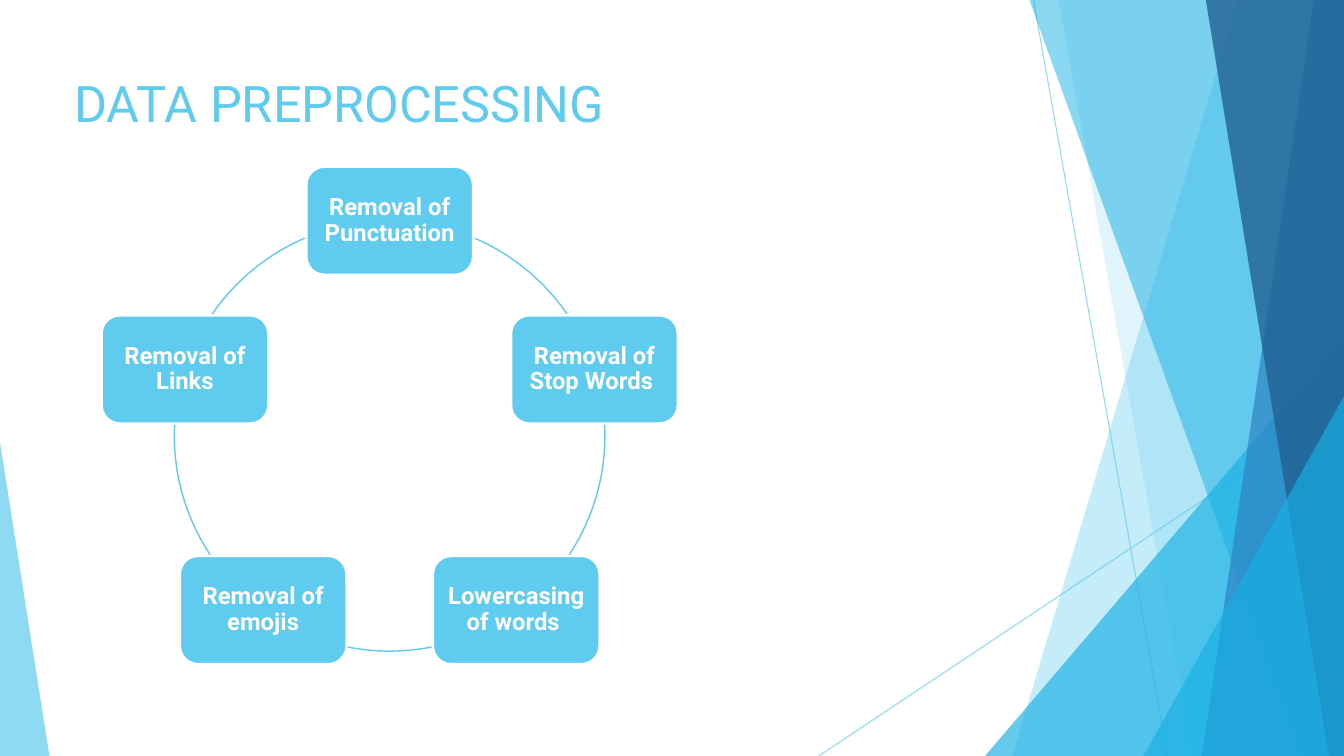
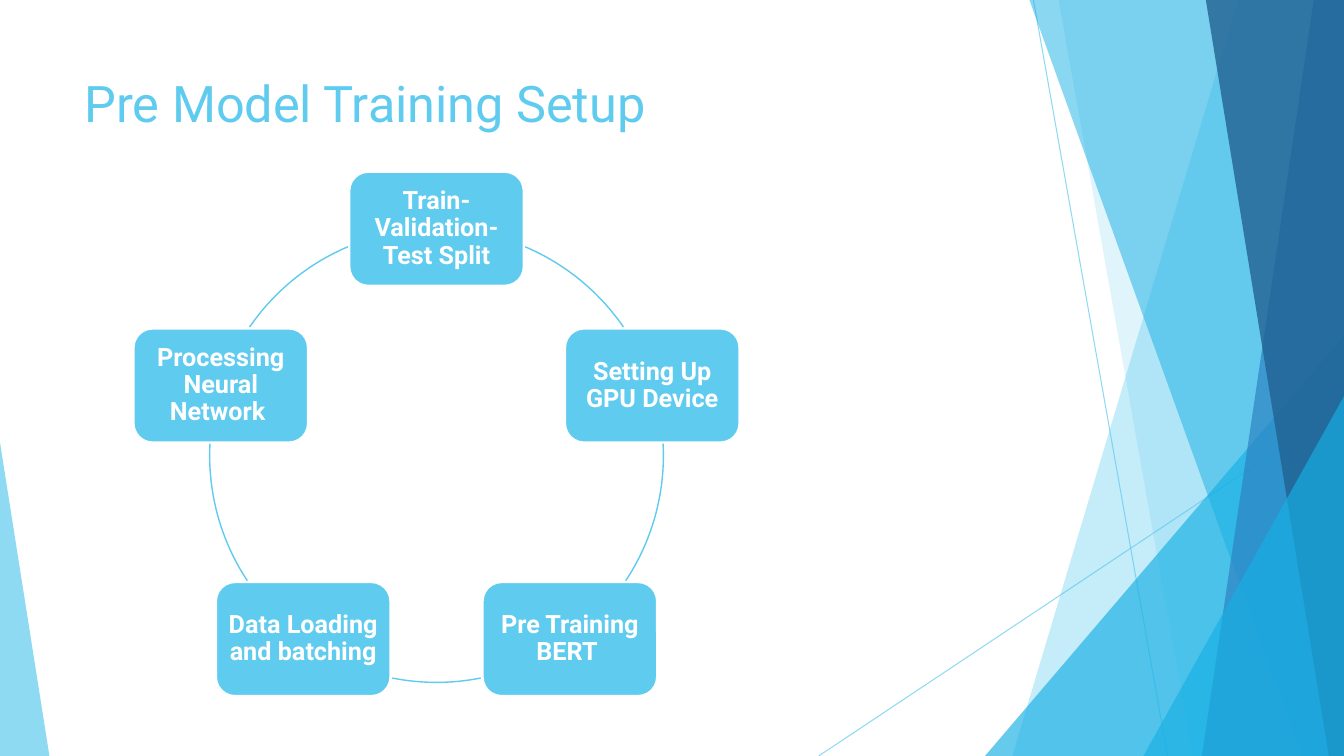
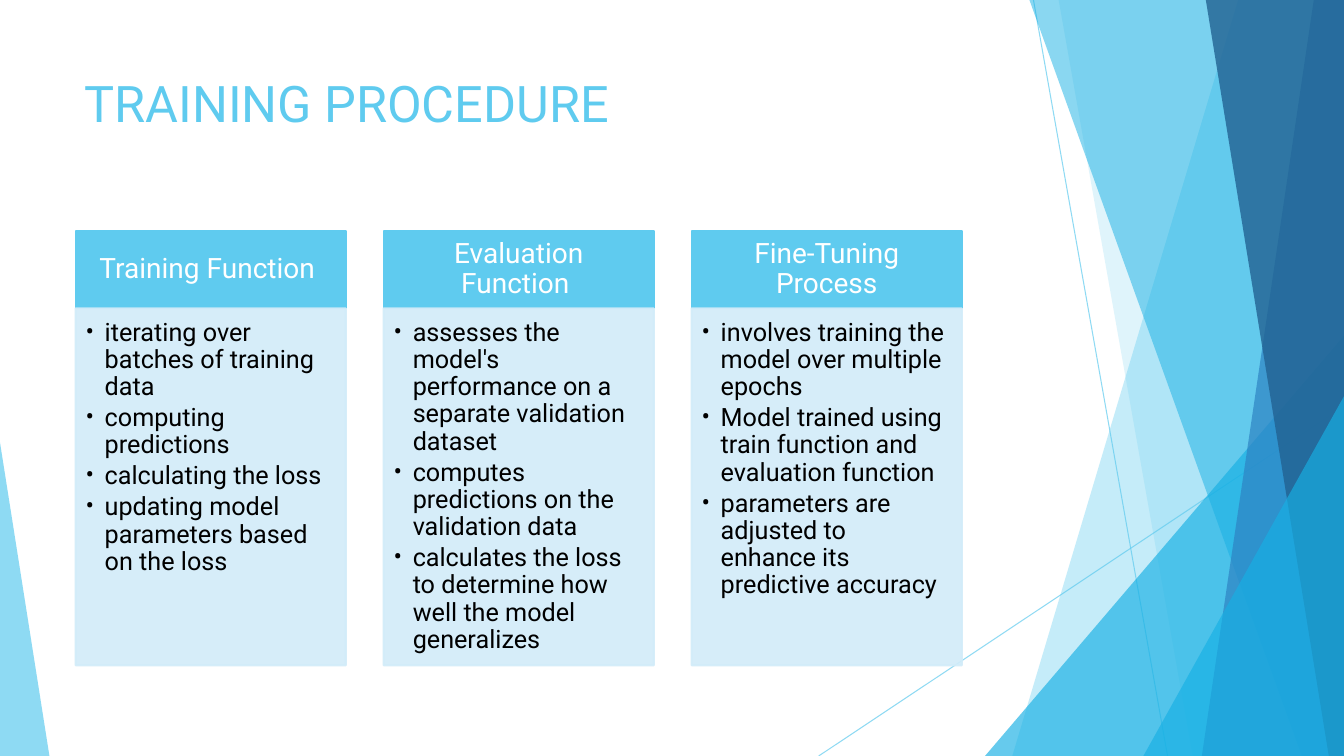
from math import cos, radians, sin

from pptx import Presentation
from pptx.dml.color import RGBColor
from pptx.enum.shapes import MSO_CONNECTOR, MSO_SHAPE
from pptx.enum.text import MSO_ANCHOR, PP_ALIGN
from pptx.oxml.ns import qn
from pptx.oxml.xmlchemy import OxmlElement
from pptx.util import Inches, Pt

SKY = RGBColor(0x5F, 0xCB, 0xEF)
CYAN = RGBColor(0x17, 0xB0, 0xE4)
BLUE = RGBColor(0x2E, 0x83, 0xC3)
NAVY = RGBColor(0x22, 0x62, 0x92)
PALE = RGBColor(0xD2, 0xEC, 0xF9)
WHITE = RGBColor(0xFF, 0xFF, 0xFF)
BLACK = RGBColor(0, 0, 0)
FONT = "Roboto"
WIDE, HIGH = 13.33, 7.5


def fade(shape, alpha):
    """Make every colour of a shape's fill and line partly transparent."""
    for color in shape._element.spPr.iter(qn("a:srgbClr")):
        node = OxmlElement("a:alpha")
        node.set("val", str(alpha * 1000))
        color.append(node)


def paint(shape, fill=None, line=None, width=1.5, alpha=100):
    """Set the fill, line and transparency of a shape without shadow."""
    shape.shadow.inherit = False
    if fill is None:
        shape.fill.background()
    else:
        shape.fill.solid()
        shape.fill.fore_color.rgb = fill
    if line is None:
        shape.line.fill.background()
    else:
        shape.line.color.rgb = line
        shape.line.width = Pt(width)
    if alpha < 100:
        fade(shape, alpha)
    return shape


def block(slide, kind, box, **style):
    """Add a painted preset shape in a box given in inches."""
    return paint(slide.shapes.add_shape(kind, *map(Inches, box)), **style)


def write(shape, text, size=18, color=WHITE, bold=False, align=PP_ALIGN.CENTER,
          anchor=MSO_ANCHOR.MIDDLE, inset=(0.1, 0.05, 0.1, 0.05), space=0.9,
          after=0, bullet=None):
    """Fill a shape with one paragraph for each line of text."""
    frame = shape.text_frame
    frame.word_wrap = True
    frame.vertical_anchor = anchor
    (frame.margin_left, frame.margin_top,
     frame.margin_right, frame.margin_bottom) = map(Inches, inset)
    for i, line in enumerate(text.split("\n")):
        para = frame.paragraphs[0] if i == 0 else frame.add_paragraph()
        para.alignment = align
        para.line_spacing = space
        para.space_after = Pt(after)
        run = para.add_run()
        run.text = line
        run.font.name = FONT
        run.font.size = Pt(size)
        run.font.bold = bold
        run.font.color.rgb = color
        if bullet:
            props = para._p.get_or_add_pPr()
            props.set("marL", str(Inches(0.19)))
            props.set("indent", str(-Inches(0.19)))
            for tag, key, value in (("a:buFont", "typeface", FONT),
                                    ("a:buChar", "char", bullet)):
                mark = OxmlElement(tag)
                mark.set(key, value)
                props.append(mark)


def ray(slide, start, end):
    """Add a thin translucent line."""
    line = slide.shapes.add_connector(
        MSO_CONNECTOR.STRAIGHT, *map(Inches, start + end))
    line.line.color.rgb = SKY
    line.line.width = Pt(0.75)
    line._element.spPr.append(OxmlElement("a:effectLst"))
    fade(line, 70)


def sheet(slide, top, foot, color, alpha):
    """Add a full-height band from a slanted left edge to the right edge."""
    form = slide.shapes.build_freeform(Inches(top), 0)
    points = [(WIDE, 0), (WIDE, HIGH), (foot, HIGH)]
    form.add_line_segments([(Inches(x), Inches(y)) for x, y in points])
    paint(form.convert_to_shape(), color, alpha=alpha)


def wedge(slide, box, tip, color, alpha):
    """Add a triangle with its tip at a share of its width."""
    shape = block(slide, MSO_SHAPE.ISOSCELES_TRIANGLE, box, fill=color, alpha=alpha)
    shape.adjustments[0] = tip


def decor(slide):
    """Draw the facets at both sides of the slide."""
    ray(slide, (10.25, 0), (11.58, HIGH))
    ray(slide, (WIDE, 4.03), (8.12, HIGH))
    sheet(slide, 12.28, 10.04, SKY, 36)
    sheet(slide, 10.5, 11.83, SKY, 20)
    wedge(slide, (9.77, 3.33, 3.56, 4.17), 1, CYAN, 66)
    sheet(slide, 10.21, 12.91, CYAN, 50)
    sheet(slide, 13.03, 11.92, BLUE, 70)
    sheet(slide, 11.96, 13.18, NAVY, 80)
    wedge(slide, (11.34, 3.93, 1.99, 3.57), 1, CYAN, 66)
    wedge(slide, (0, 4.39, 0.49, 3.11), 0, SKY, 70)


def page(deck, title, left=0.74):
    """Add a slide with the shared decor and title."""
    slide = deck.slides.add_slide(deck.slide_layouts[6])
    decor(slide)
    box = slide.shapes.add_textbox(*map(Inches, (left, 0.67, 9.4, 0.76)))
    write(box, title, size=36, color=SKY, align=PP_ALIGN.LEFT,
          anchor=MSO_ANCHOR.TOP, space=1)
    return slide


def cycle(slide, ring, node, labels, size):
    """Place labelled nodes evenly round a ring and join them with arcs."""
    left, top, span = ring
    wide, high = node
    rad = span / 2
    step = 360 / len(labels)

    def leave(angle, way):
        """Find the angle at which the ring leaves the node at an angle."""
        x, y = cos(radians(angle)), sin(radians(angle))
        turns = (angle + way * i / 4 for i in range(int(step * 4)))
        return next(a for a in turns
                    if rad * abs(cos(radians(a)) - x) > wide / 2 + 0.01
                    or rad * abs(sin(radians(a)) - y) > high / 2 + 0.01)

    for i, label in enumerate(labels):
        angle = i * step - 90
        x = left + rad + rad * cos(radians(angle))
        y = top + rad + rad * sin(radians(angle))
        shape = block(slide, MSO_SHAPE.ROUNDED_RECTANGLE,
                      (x - wide / 2, y - high / 2, wide, high), fill=SKY, line=WHITE)
        write(shape, label, size=size, bold=True, inset=(0.07,) * 4)
        arc = block(slide, MSO_SHAPE.ARC, (left, top, span, span), line=SKY, width=1)
        for k, end in enumerate((leave(angle, 1), leave(angle + step, -1))):
            arc.adjustments[k] = end % 360 * 0.6


def columns(slide, box, width, head, items):
    """Spread headed bullet lists evenly over a box."""
    left, top, span, high = box
    pitch = (span - width) / (len(items) - 1)
    for i, (name, text) in enumerate(items):
        x = left + i * pitch
        cap = block(slide, MSO_SHAPE.RECTANGLE, (x, top, width, head),
                    fill=SKY, line=SKY)
        write(cap, name, size=20, inset=(0.16, 0.09, 0.16, 0.09))
        body = block(slide, MSO_SHAPE.RECTANGLE, (x, top + head, width, high - head),
                     fill=PALE, line=PALE, alpha=90)
        write(body, text, color=BLACK, align=PP_ALIGN.LEFT, anchor=MSO_ANCHOR.TOP,
              inset=(0.1, 0.11, 0.17, 0.16), after=2.7, bullet="•")


def main():
    """Build and save the deck."""
    deck = Presentation()
    deck.slide_width, deck.slide_height = Inches(WIDE), Inches(HIGH)

    clean = page(deck, "DATA PREPROCESSING", left=0.64)
    cycle(clean, (1.73, 2.19, 4.27), (1.65, 1.07), [
        "Removal of Punctuation", "Removal of Stop Words ",
        "Lowercasing of words ", "Removal of emojis", "Removal of Links"], 17)

    setup = page(deck, "Pre Model Training Setup")
    cycle(setup, (2.08, 2.27, 4.5), (1.73, 1.13), [
        "Train-Validation-Test Split", "Setting Up GPU Device",
        "Pre Training BERT ", "Data Loading and batching",
        "Processing Neural Network "], 18)

    train = page(deck, "TRAINING PROCEDURE")
    columns(train, (0.75, 2.29, 8.79, 4.31), 2.68, 0.77, [
        ("Training Function ",
         "iterating over batches of training data\n"
         "computing predictions\n"
         "calculating the loss\n"
         "updating model parameters based on the loss"),
        ("Evaluation Function ",
         "assesses the model's performance on a separate validation dataset\n"
         "computes predictions on the validation data\n"
         "calculates the loss to determine how well the model generalizes"),
        ("Fine-Tuning Process",
         "involves training the model over multiple epochs\n"
         "Model trained using train function and evaluation function\n"
         "parameters are adjusted to enhance its predictive accuracy")])
    deck.save("out.pptx")


if __name__ == "__main__":
    main()
